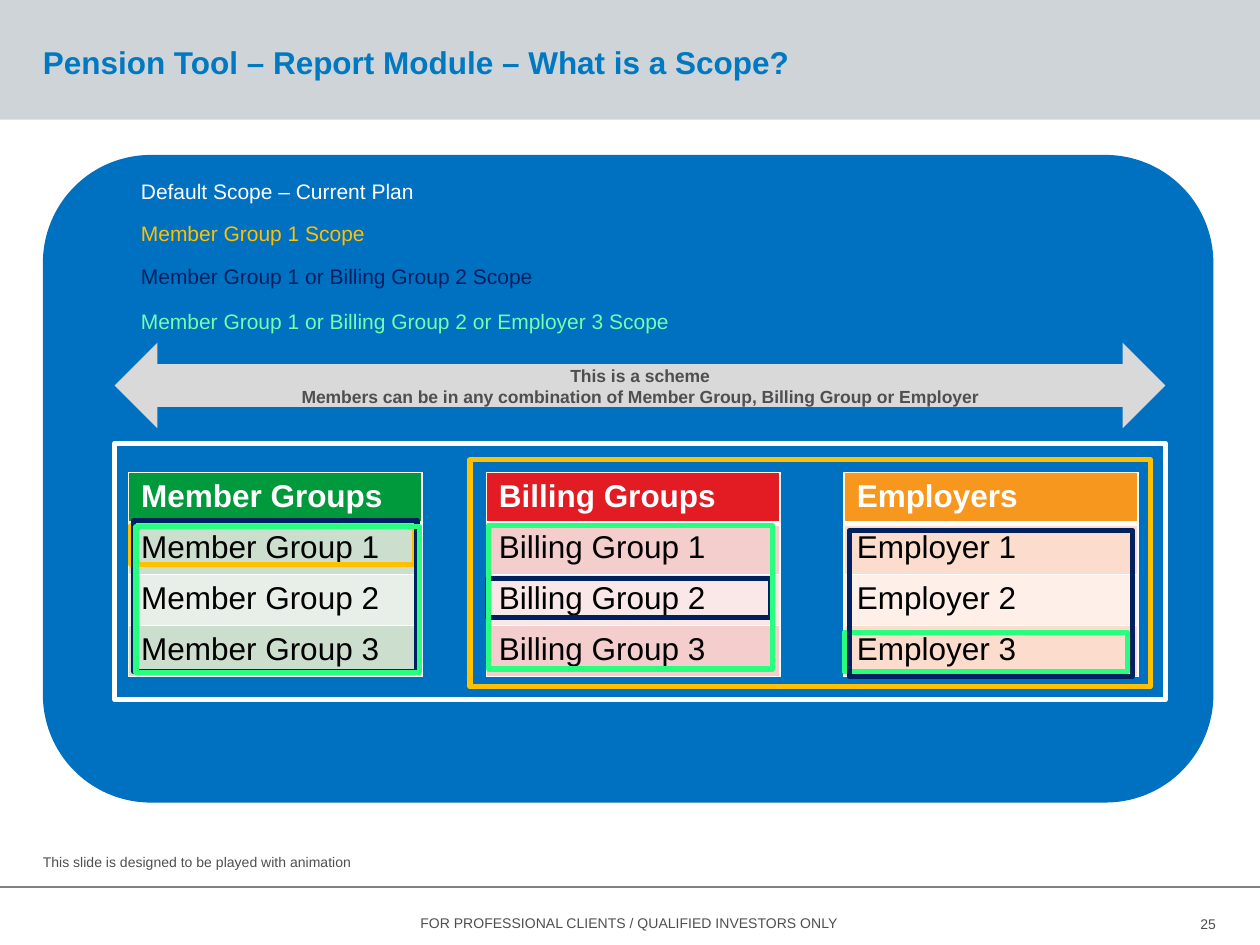
"""Build the slide that explains what a reporting scope is."""
from dataclasses import dataclass, field
from typing import Any, Optional

from lxml.etree import SubElement
from pptx import Presentation
from pptx.dml.color import RGBColor
from pptx.enum.shapes import MSO_CONNECTOR as Connector, MSO_SHAPE as Shape
from pptx.enum.text import MSO_ANCHOR as Anchor, PP_ALIGN as Align
from pptx.oxml.ns import qn
from pptx.util import Inches, Pt

COLOURS: dict[str, str] = {
    "white": "FFFFFF", "black": "000000", "grey text": "4F4E50",
    "band": "CFD4D8", "rule": "7E8083", "title": "0079C1",
    "panel": "0070C0", "arrow": "D9D9D9", "amber": "FFC000",
    "navy": "002060", "mint": "29FF7E", "light mint": "71FFA9",
    "green": "009A3D", "green odd": "CCDECE", "green even": "E7EFE8",
    "red": "E31B23", "red odd": "F4CDCD", "red even": "FAE8E8",
    "orange": "F8971D", "orange odd": "FCDDCD", "orange even": "FEEFE8",
}
NO_MARGINS = {f"margin_{side}": 0 for side in ("left", "top", "right", "bottom")}
TABLE_LEFT, TABLE_TOP, TABLE_STEP = 1.02, 3.75, 2.84
TABLE_WIDTH, ROW_HEIGHT = 2.33, 0.405


@dataclass(frozen=True)
class Box:
    left: float
    top: float
    width: float
    height: float

    def lengths(self) -> list[Inches]:
        """Return the four lengths of the box."""
        return [Inches(value) for value in (self.left, self.top, self.width, self.height)]


@dataclass(frozen=True)
class Label:
    box: Box
    lines: tuple[str, ...]
    size: float
    colour: str
    bold: bool = False
    frame: dict[str, Any] = field(default_factory=dict)
    paragraph: dict[str, Any] = field(default_factory=dict)


@dataclass(frozen=True)
class Group:
    heading: str
    member: str
    colour: str


@dataclass(frozen=True)
class Outline:
    box: Box
    colour: str


PANEL = Box(0.34, 1.23, 9.29, 5.14)
TITLE_BAND = Box(0, -0.01, 10, 0.96)
SCHEME = Label(
    Box(0.91, 2.72, 8.34, 0.68),
    ("This is a scheme",
     "Members can be in any combination of Member Group, Billing Group or Employer"),
    10, "grey text", True,
    {"vertical_anchor": Anchor.MIDDLE, "margin_left": Inches(0.08),
     "margin_right": Inches(0.08), "margin_top": Inches(0.04),
     "margin_bottom": Inches(0.04)},
    {"alignment": Align.CENTER},
)
PAGE_LABELS = [
    Label(Box(9.25, 7.21, 0.4, 0.24), ("25",), 8, "grey text",
          frame=NO_MARGINS | {"vertical_anchor": Anchor.MIDDLE},
          paragraph={"alignment": Align.RIGHT}),
    Label(Box(0.34, 0.16, 9.29, 0.66),
          ("Pension Tool – Report Module – What is a Scope?",), 18, "title", True,
          NO_MARGINS | {"vertical_anchor": Anchor.MIDDLE}),
    Label(Box(1.64, 7.21, 6.71, 0.24),
          ("FOR PROFESSIONAL CLIENTS / QUALIFIED INVESTORS ONLY",), 8, "grey text",
          paragraph={"alignment": Align.CENTER}),
    Label(Box(0.34, 6.79, 9.3, 0.12),
          ("This slide is designed to be played with animation",), 8, "grey text",
          frame=NO_MARGINS | {"vertical_anchor": Anchor.BOTTOM},
          paragraph={"line_spacing": 0.9}),
]
SCOPE_LABELS = [
    Label(Box(1.02, top, width, 0.3), (text,), 12, colour)
    for top, width, text, colour in (
        (1.37, 2.55, "Default Scope – Current Plan", "white"),
        (1.7, 2.71, "Member Group 1 Scope", "amber"),
        (2.04, 3.58, "Member Group 1 or Billing Group 2 Scope", "navy"),
        (2.4, 4.63, "Member Group 1 or Billing Group 2 or Employer 3 Scope", "light mint"),
    )
]
GROUPS = [
    Group("Member Groups", "Member Group", "green"),
    Group("Billing Groups", "Billing Group", "red"),
    Group("Employers", "Employer", "orange"),
]
SCOPE_OUTLINES = [
    Outline(Box(1.04, 4.17, 2.25, 0.31), "amber"),
    Outline(Box(3.87, 4.59, 2.25, 0.31), "navy"),
    Outline(Box(6.7, 5.02, 2.25, 0.31), "mint"),
    Outline(Box(0.91, 3.52, 8.34, 2.03), "white"),
    Outline(Box(3.73, 3.65, 5.4, 1.8), "amber"),
    Outline(Box(1.06, 4.13, 2.25, 1.2), "navy"),
    Outline(Box(1.08, 4.18, 2.25, 1.16), "mint"),
    Outline(Box(3.88, 4.17, 2.25, 1.14), "mint"),
]
EMPLOYER_OUTLINE = Outline(Box(6.74, 4.21, 2.25, 1.16), "navy")


def rgb(colour: str) -> RGBColor:
    """Return the named colour."""
    return RGBColor.from_string(COLOURS[colour])


def apply_format(target: Any, values: dict[str, Any]) -> None:
    """Set each format value on the target."""
    for name, value in values.items():
        setattr(target, name, value)


def write_text(frame: Any, label: Label) -> None:
    """Write the label into a text frame."""
    apply_format(frame, {"word_wrap": True} | label.frame)
    for index, line in enumerate(label.lines):
        paragraph = frame.add_paragraph() if index else frame.paragraphs[0]
        apply_format(paragraph, label.paragraph)
        run = paragraph.add_run()
        run.text = line
        apply_format(run.font, {"name": "Arial", "size": Pt(label.size), "bold": label.bold})
        run.font.color.rgb = rgb(label.colour)


def draw_label(slide: Any, label: Label) -> None:
    """Draw a text box."""
    write_text(slide.shapes.add_textbox(*label.box.lengths()).text_frame, label)


def draw_shape(slide: Any, kind: Shape, box: Box, fill: Optional[str] = None,
               line: Optional[str] = None) -> Any:
    """Draw a preset shape with an optional fill and outline."""
    shape = slide.shapes.add_shape(kind, *box.lengths())
    shape.shadow.inherit = False
    if fill:
        shape.fill.solid()
        shape.fill.fore_color.rgb = rgb(fill)
    else:
        shape.fill.background()
    if line:
        shape.line.color.rgb = rgb(line)
        shape.line.width = Pt(3)
    else:
        shape.line.fill.background()
    return shape


def draw_outline(slide: Any, outline: Outline) -> None:
    """Draw an unfilled scope rectangle."""
    draw_shape(slide, Shape.RECTANGLE, outline.box, line=outline.colour)


def draw_footer_rule(slide: Any) -> None:
    """Draw the thin line above the footer."""
    rule = slide.shapes.add_connector(
        Connector.STRAIGHT, Inches(-0.01), Inches(7.04), Inches(10), Inches(7.04))
    rule.line.color.rgb = rgb("rule")
    rule.line.width = Pt(0.75)
    SubElement(rule.line._get_or_add_ln().getparent(), qn("a:effectLst"))


def set_borders(cell: Any, row: int) -> None:
    """Give a cell white borders, thick below the heading."""
    properties = cell._tc.get_or_add_tcPr()
    for side in "LRTB":
        thick = (row, side) in ((0, "B"), (1, "T"))
        border = SubElement(properties, qn(f"a:ln{side}"), w=str(Pt(3 if thick else 1)))
        fill = SubElement(border, qn("a:solidFill"))
        SubElement(fill, qn("a:srgbClr"), val=COLOURS["white"])


def draw_group(slide: Any, group: Group, column: int) -> None:
    """Draw one table with a heading and three numbered members."""
    texts = [group.heading, *(f"{group.member} {number}" for number in range(1, 4))]
    box = Box(TABLE_LEFT + column * TABLE_STEP, TABLE_TOP,
              TABLE_WIDTH, ROW_HEIGHT * len(texts))
    table = slide.shapes.add_table(len(texts), 1, *box.lengths()).table
    apply_format(table, {"first_row": True, "horz_banding": False})
    for row, text in enumerate(texts):
        cell = table.cell(row, 0)
        set_borders(cell, row)
        shade = f"{group.colour} {'odd' if row % 2 else 'even'}" if row else group.colour
        cell.fill.solid()
        cell.fill.fore_color.rgb = rgb(shade)
        write_text(cell.text_frame,
                   Label(box, (text,), 18, "black" if row else "white", row == 0))


def main() -> None:
    """Build and save the presentation."""
    presentation = Presentation()
    apply_format(presentation, {"slide_width": Inches(10), "slide_height": Inches(7.5)})
    slide = presentation.slides.add_slide(presentation.slide_layouts[6])
    draw_footer_rule(slide)
    draw_shape(slide, Shape.RECTANGLE, TITLE_BAND, "band")
    for label in PAGE_LABELS:
        draw_label(slide, label)
    draw_shape(slide, Shape.ROUNDED_RECTANGLE, PANEL, "panel")
    for label in SCOPE_LABELS:
        draw_label(slide, label)
    for column, group in enumerate(GROUPS):
        draw_group(slide, group, column)
    for outline in SCOPE_OUTLINES:
        draw_outline(slide, outline)
    arrow = draw_shape(slide, Shape.LEFT_RIGHT_ARROW, SCHEME.box, "arrow")
    write_text(arrow.text_frame, SCHEME)
    draw_outline(slide, EMPLOYER_OUTLINE)
    presentation.save("out.pptx")


if __name__ == "__main__":
    main()
